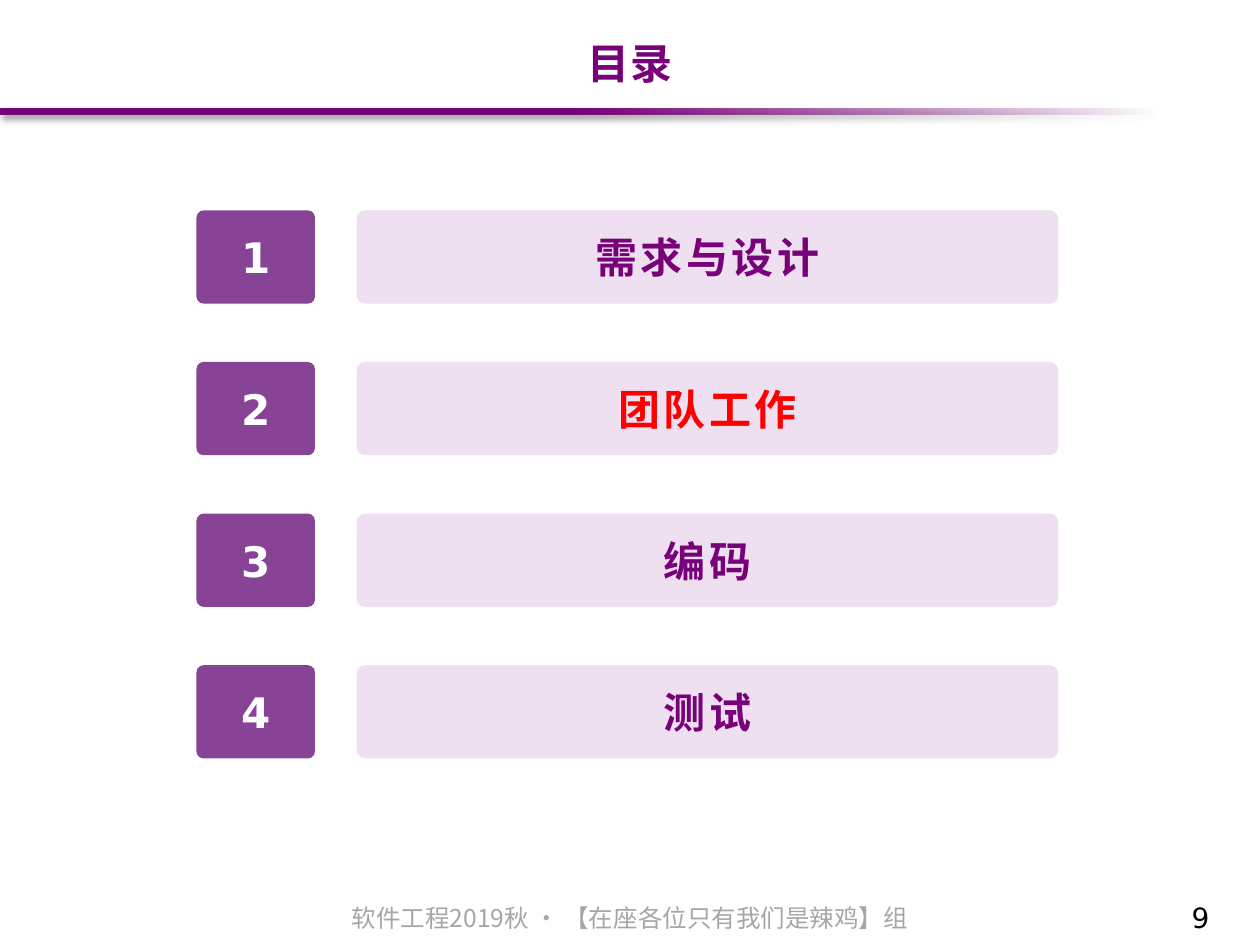
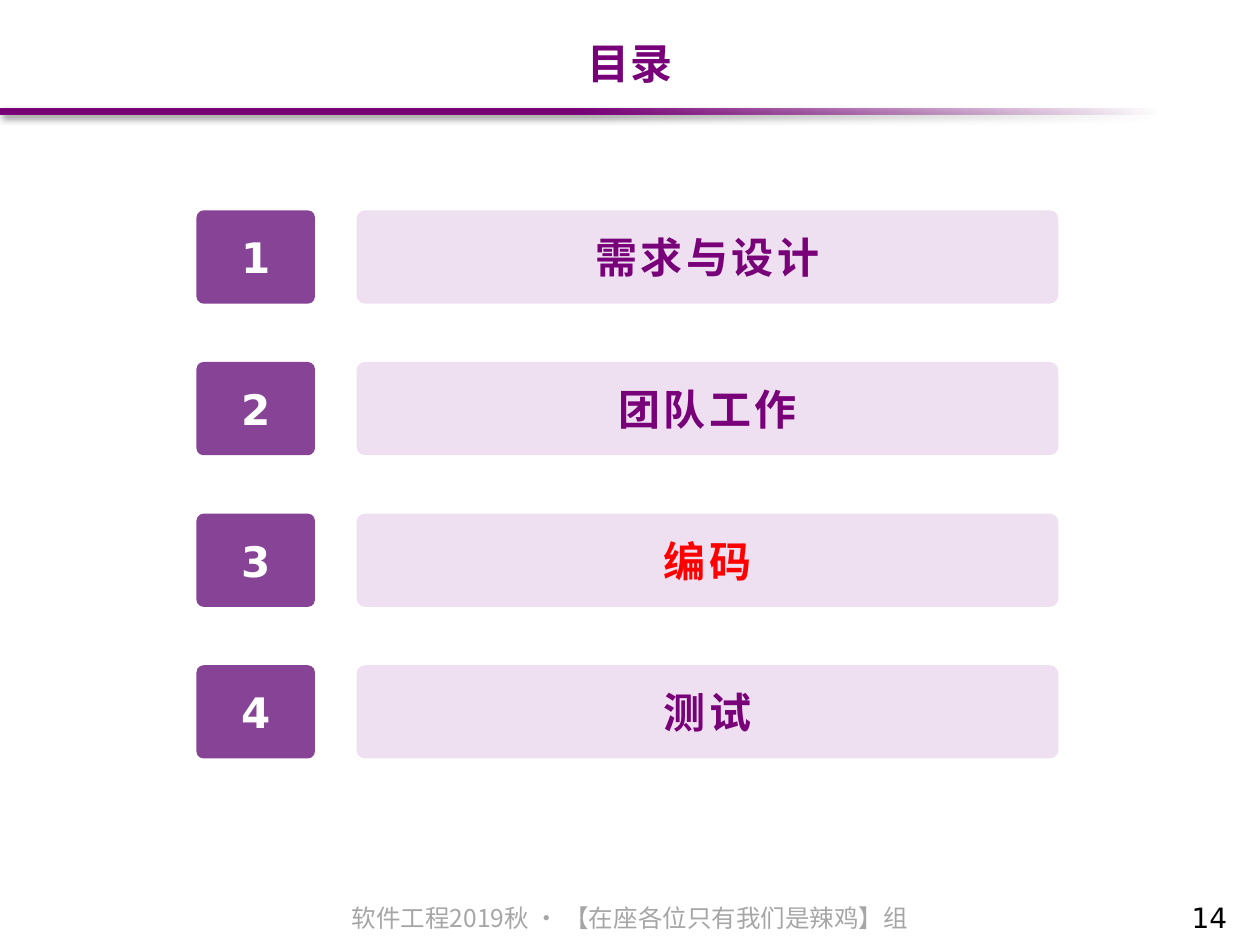
from dataclasses import dataclass

from lxml.etree import SubElement
from pptx import Presentation
from pptx.dml.color import RGBColor as Rgb
from pptx.enum.shapes import MSO_SHAPE as Kind
from pptx.enum.text import MSO_ANCHOR as Anchor, MSO_AUTO_SIZE as Auto, PP_ALIGN as Align
from pptx.oxml import parse_xml
from pptx.oxml.ns import nsdecls, qn
from pptx.shapes.autoshape import Shape
from pptx.slide import Slide
from pptx.util import Inches, Pt

COLORS = {
    "main": "780078",
    "badge": "874396",
    "panel": "EEE0F1",
    "active": "FF0000",
    "footer": "A6A6A6",
    "white": "FFFFFF",
    "black": "000000",
}
CJK = "Noto Sans CJK SC"
SANS = "DejaVu Sans"
TITLE = "目录"
FOOTER = "软件工程2019秋 · 【在座各位只有我们是辣鸡】组"
TOPICS = ["需求与设计", "团队工作", "编码", "测试"]
TOP, STEP, HEIGHT = 1.67, 1.2033, 0.74


@dataclass(frozen=True)
class Style:
    size: int
    color: str
    font: str = "Arial"
    bold: bool = False
    space: float = 0


@dataclass(frozen=True)
class Box:
    left: float
    width: float
    fill: str
    round: float


@dataclass(frozen=True)
class Agenda:
    page: int
    active: int


BADGE = Box(1.56, 0.94, "badge", 0.076)
PANEL = Box(2.83, 5.57, "panel", 0.091)
HEAD = Style(24, "main", bold=True, space=0.5)
NUMBER = Style(24, "white", SANS, bold=True)
PAGES = [Agenda(9, 2), Agenda(14, 3)]


def write(shape: Shape, text: str, style: Style, align: Align = Align.CENTER) -> None:
    para = shape.text_frame.paragraphs[0]
    para.alignment = align
    run = para.add_run()
    run.text = text
    font = run.font
    font.name, font.size, font.bold = style.font, Pt(style.size), style.bold
    font.color.rgb = Rgb.from_string(COLORS[style.color])
    props = run._r.get_or_add_rPr()
    SubElement(props, qn("a:ea")).set("typeface", CJK)
    if style.space:
        props.set("spc", str(round(style.space * 100)))


def add_title(slide: Slide) -> None:
    title = slide.shapes.title
    title.left, title.top = Inches(0.5), Inches(0.25)
    title.width, title.height = Inches(9), Inches(0.54)
    title.text_frame.auto_size = Auto.NONE
    title.text_frame.vertical_anchor = Anchor.TOP
    write(title, TITLE, HEAD)


def add_band(slide: Slide) -> None:
    """Draw the rule under the title, fading out to the right."""
    band = slide.shapes.add_shape(
        Kind.RECTANGLE, Inches(-0.01), Inches(0.86), Inches(9.19), Inches(0.05))
    band.line.fill.background()
    stops = "".join(
        f'<a:gs pos="{place * 1000}"><a:srgbClr val="{COLORS["main"]}">'
        f'<a:alpha val="{alpha * 1000}"/></a:srgbClr></a:gs>'
        for place, alpha in [(0, 100), (50, 100), (100, 0)])
    fade = parse_xml(
        f'<a:gradFill {nsdecls("a")} rotWithShape="1"><a:gsLst>{stops}</a:gsLst>'
        '<a:lin ang="0" scaled="0"/></a:gradFill>')
    shade = parse_xml(
        f'<a:effectLst {nsdecls("a")}><a:outerShdw blurRad="{Pt(4)}" dist="{Pt(3)}" '
        f'dir="2700000" algn="tl" rotWithShape="0"><a:srgbClr val="{COLORS["black"]}">'
        '<a:alpha val="40000"/></a:srgbClr></a:outerShdw></a:effectLst>')
    props = band._element.spPr
    props.find(qn("a:ln")).addprevious(fade)
    props.append(shade)


def add_footer(slide: Slide, page: int) -> None:
    foot = slide.shapes.add_textbox(Inches(0), Inches(7.16), Inches(10), Inches(0.29))
    foot.text_frame.word_wrap = True
    foot.text_frame.paragraphs[0].line_spacing = 0.8
    write(foot, FOOTER, Style(14, "footer", CJK))
    label = slide.shapes.add_textbox(Inches(9.36), Inches(7.1), Inches(0.64), Inches(0.4))
    label.text_frame.word_wrap = True
    write(label, str(page), Style(16, "black", SANS), Align.LEFT)


def add_row(slide: Slide, index: int, topic: str, active: bool) -> None:
    group = slide.shapes.add_group_shape()
    top = Inches(TOP + (index - 1) * STEP)

    def add_box(box: Box, text: str, style: Style) -> Shape:
        shape = group.shapes.add_shape(
            Kind.ROUNDED_RECTANGLE, Inches(box.left), top, Inches(box.width), Inches(HEIGHT))
        shape.adjustments[0] = box.round
        shape.shadow.inherit = False
        shape.fill.solid()
        shape.fill.fore_color.rgb = Rgb.from_string(COLORS[box.fill])
        shape.line.fill.background()
        shape.text_frame.vertical_anchor = Anchor.MIDDLE
        write(shape, text, style)
        return shape

    frame = add_box(BADGE, str(index), NUMBER).text_frame
    frame.margin_left = frame.margin_right = frame.margin_top = frame.margin_bottom = 0
    color = "active" if active else "main"
    add_box(PANEL, topic, Style(24, color, bold=True, space=2))


def main() -> None:
    deck = Presentation()
    deck.slide_width, deck.slide_height = Inches(10), Inches(7.5)
    for agenda in PAGES:
        slide = deck.slides.add_slide(deck.slide_layouts[5])
        add_band(slide)
        add_title(slide)
        add_footer(slide, agenda.page)
        for index, topic in enumerate(TOPICS, 1):
            add_row(slide, index, topic, index == agenda.active)
    deck.save("out.pptx")


if __name__ == "__main__":
    main()
